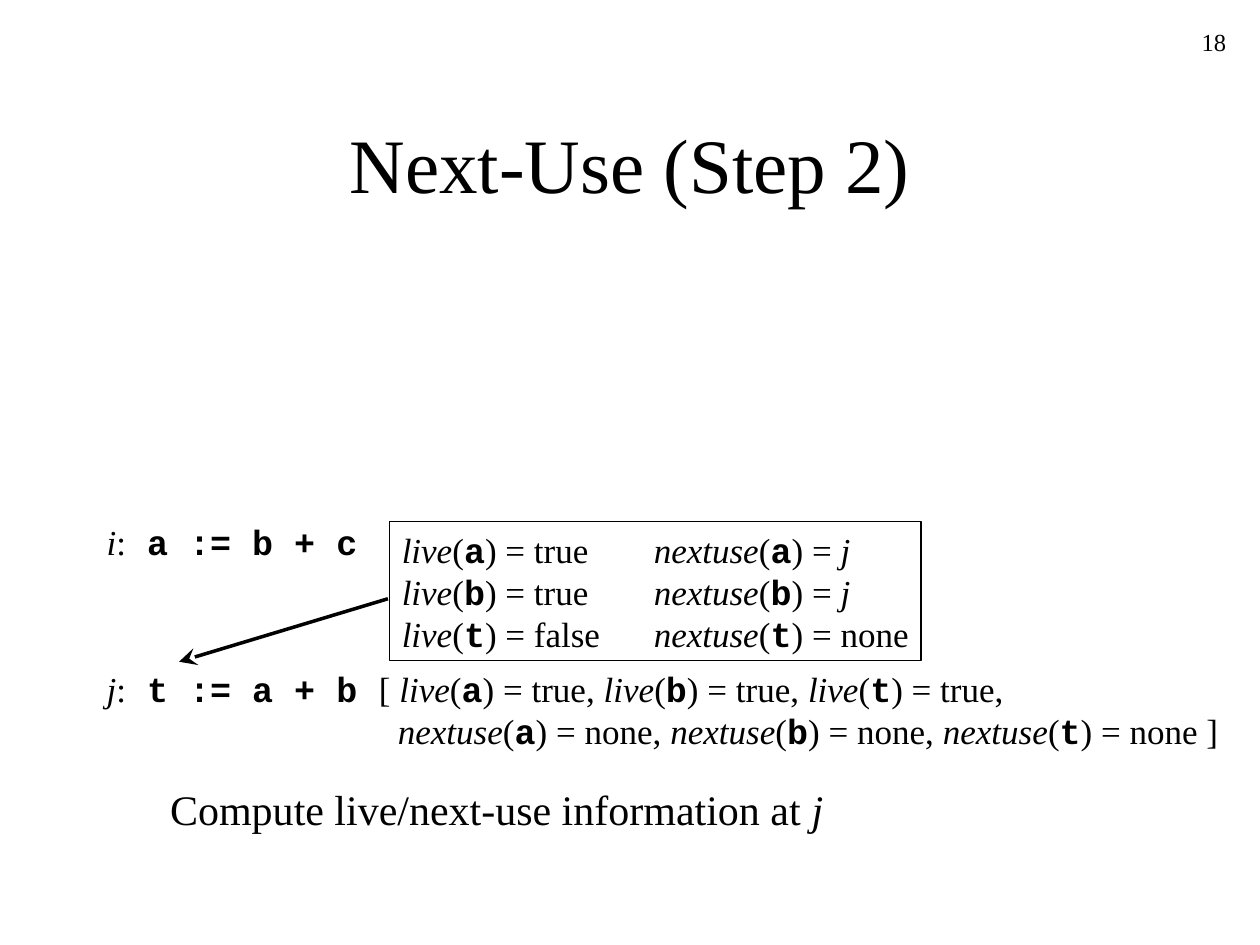
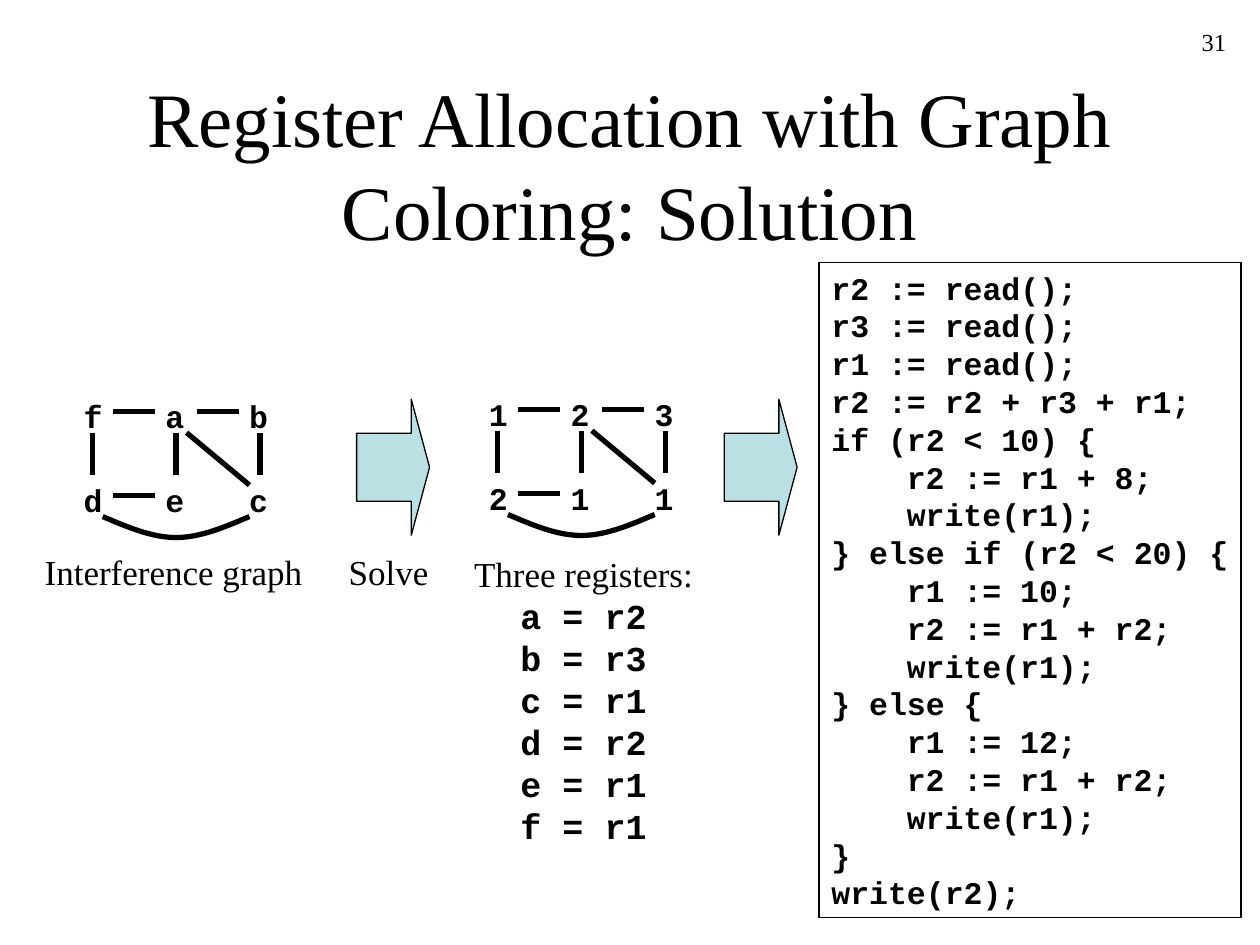
from pptx import Presentation
from pptx.dml.color import RGBColor
from pptx.enum.shapes import MSO_CONNECTOR, MSO_SHAPE
from pptx.enum.text import MSO_ANCHOR, MSO_AUTO_SIZE, PP_ALIGN
from pptx.oxml.ns import qn
from pptx.util import Cm, Pt
from lxml import etree

LEFT, CENTER, RIGHT = PP_ALIGN.LEFT, PP_ALIGN.CENTER, PP_ALIGN.RIGHT
TOP, MIDDLE = MSO_ANCHOR.TOP, MSO_ANCHOR.MIDDLE
FIT, FIXED = MSO_AUTO_SIZE.SHAPE_TO_FIT_TEXT, MSO_AUTO_SIZE.NONE
STRAIGHT, RIGHT_ARROW = MSO_CONNECTOR.STRAIGHT, MSO_SHAPE.RIGHT_ARROW

THEME = {
    "ink": RGBColor(0, 0, 0), "arrow": RGBColor(0xBB, 0xE0, 0xE3),
    "serif": "Times New Roman", "mono": "Courier New",
    "title": Pt(44), "lead": Pt(24), "body": Pt(20), "code": Pt(18), "number": Pt(14),
    "frame": Pt(0.75), "pointer": Pt(2), "edge": Pt(3),
    "indent": 0.38, "tab": 5.08,
}


def add_text(s, text, box, size="body", align=LEFT, mono=False, wrap=False,
             anchor=TOP, framed=False):
    """Add a text box: *italic*, `bold code`; leading spaces become an indent."""
    sp = s.shapes.add_textbox(*map(Cm, box))
    tf = sp.text_frame
    frame_format = {"word_wrap": wrap, "auto_size": FIXED if wrap else FIT,
                    "vertical_anchor": anchor}
    for name, value in frame_format.items():
        setattr(tf, name, value)
    if framed:
        sp.line.color.rgb, sp.line.width = THEME["ink"], THEME["frame"]
    for i, line in enumerate(text.split("\n")):
        p = tf.add_paragraph() if i else tf.paragraphs[0]
        p.alignment = align
        stripped = line.lstrip(" ")
        pPr = p._p.get_or_add_pPr()
        if stripped != line:
            pPr.set("marL", str(Cm((len(line) - len(stripped)) * THEME["indent"])))
            pPr.set("indent", "0")
        if "\t" in line:
            tab = str(Cm(THEME["tab"]))
            pPr.set("defTabSz", tab)
            tabs = etree.SubElement(pPr, qn("a:tabLst"))
            etree.SubElement(tabs, qn("a:tab"), pos=tab, algn="l")
        for n, part in enumerate(stripped.split("`")):
            is_code = mono or n % 2 == 1
            for m, piece in enumerate(part.split("*")):
                if not piece:
                    continue
                r = p.add_run()
                r.text = piece
                font_format = {"name": THEME["mono" if is_code else "serif"],
                               "size": THEME[size], "bold": is_code, "italic": m % 2 == 1}
                for name, value in font_format.items():
                    setattr(r.font, name, value)
                r.font.color.rgb = THEME["ink"]


def add_line(s, x1, y1, x2, y2, width):
    line = s.shapes.add_connector(STRAIGHT, Cm(x1), Cm(y1), Cm(x2), Cm(y2))
    line.line.color.rgb, line.line.width = THEME["ink"], THEME[width]
    etree.SubElement(line._element.spPr, qn("a:effectLst"))
    return line


prs = Presentation()
prs.slide_width, prs.slide_height = Cm(25.4), Cm(19.05)

slides = []
for title, number in (("Next-Use (Step 2)", "18"),
                      ("Register Allocation with Graph Coloring: Solution", "31")):
    s = prs.slides.add_slide(prs.slide_layouts[6])
    add_text(s, title, (1.9, 1.7, 21.6, 3.18), "title", CENTER, wrap=True, anchor=MIDDLE)
    add_text(s, number, (19.69, 0.43, 5.28, 1.27), "number", RIGHT, wrap=True)
    slides.append(s)
next_use, coloring = slides

# Next-use information
add_text(next_use, "*i*:` a := b + c`", (1.9, 10.37, 5.56, 1.12))
add_text(next_use, "*j*:` t := a + b`", (1.9, 13.33, 5.56, 1.12))

pointer = add_line(next_use, 7.82, 12.07, 3.61, 13.34, "pointer")
etree.SubElement(pointer.line._get_or_add_ln(), qn("a:tailEnd"),
                 type="stealth", w="lg", len="lg")

add_text(next_use,
         "[ *live*(`a`) = true, *live*(`b`) = true, *live*(`t`) = true,\n"
         " *nextuse*(`a`) = none, *nextuse*(`b`) = none, *nextuse*(`t`) = none ]",
         (7.39, 13.34, 17.9, 1.96), wrap=True)
add_text(next_use,
         "*live*(`a`) = true\t*nextuse*(`a`) = *j*\n"
         "*live*(`b`) = true\t*nextuse*(`b`) = *j*\n"
         "*live*(`t`) = false\t*nextuse*(`t`) = none",
         (7.85, 10.52, 10.72, 2.79), framed=True)
add_text(next_use, "Compute live/next-use information at *j*",
         (3.18, 15.67, 13.67, 1.27), "lead")

# Interference graph and its coloring, measured in quarters of the node pitch
UNIT = 1.69 / 4
LABEL_COLUMNS, LABEL_ROWS = (-1, 2.9, 6.9), (-1, 3)
EDGES = (
    (1, 0, 3, 0), (5, 0, 7, 0), (1, 4, 3, 4),
    (0, 1, 0, 3), (4, 1, 4, 3), (8, 1, 8, 3),
    (4.5, 1, 7.5, 3.5),
)
ARC_STEPS = 16

for nodes, left, top in (("fabdec", 1.86, 8.3), ("123211", 10.03, 8.26)):
    for i, node in enumerate(nodes):
        x, y = LABEL_COLUMNS[i % 3], LABEL_ROWS[i // 3]
        add_text(coloring, node, (left + x * UNIT, top + y * UNIT, 0.89, 1.02),
                 "code", mono=True)
    for x1, y1, x2, y2 in EDGES:
        add_line(coloring, left + x1 * UNIT, top + y1 * UNIT,
                 left + x2 * UNIT, top + y2 * UNIT, "edge")
    arc_points = []
    for step in range(-ARC_STEPS, ARC_STEPS + 1):
        t = 1 - abs(step) / ARC_STEPS
        sag = 1.5 * t - 0.5 * t ** 3
        arc_points.append((Cm(left + (4 + 3.5 * step / ARC_STEPS) * UNIT),
                           Cm(top + (5 + sag) * UNIT)))
    builder = coloring.shapes.build_freeform(*arc_points[0])
    builder.add_line_segments(arc_points[1:], close=False)
    arc = builder.convert_to_shape()
    arc.shadow.inherit = False
    arc.fill.background()
    arc.line.color.rgb, arc.line.width = THEME["ink"], THEME["edge"]

for left in (7.19, 14.6):
    arrow = coloring.shapes.add_shape(RIGHT_ARROW, Cm(left), Cm(8.05), Cm(1.47), Cm(2.74))
    arrow.adjustments[0], arrow.adjustments[1] = 0.5, 0.25
    arrow.shadow.inherit = False
    arrow.fill.solid()
    arrow.fill.fore_color.rgb = THEME["arrow"]
    arrow.line.color.rgb, arrow.line.width = THEME["ink"], THEME["frame"]

add_text(coloring, "Interference graph", (0.64, 10.97, 5.72, 1.12), align=CENTER)
add_text(coloring, "Solve", (6.78, 10.97, 2.11, 1.12), align=CENTER)

registers = zip("abcdef", (2, 3, 1, 2, 1, 1))
assignments = [f"`{name} = r{register}`" for name, register in registers]
add_text(coloring, "\n".join(["Three registers:", *assignments]),
         (9.3, 11.01, 4.93, 6.2), align=CENTER)

PROGRAM = """r2 := read();
r3 := read();
r1 := read();
r2 := r2 + r3 + r1;
if (r2 < 10) {
    r2 := r1 + 8;
    write(r1);
} else if (r2 < 20) {
    r1 := 10;
    r2 := r1 + r2;
    write(r1);
} else {
    r1 := 12;
    r2 := r1 + r2;
    write(r1);
}
write(r2);"""
add_text(coloring, PROGRAM, (16.51, 5.29, 8.51, 13.21), "code", mono=True, framed=True)

prs.save("out.pptx")
